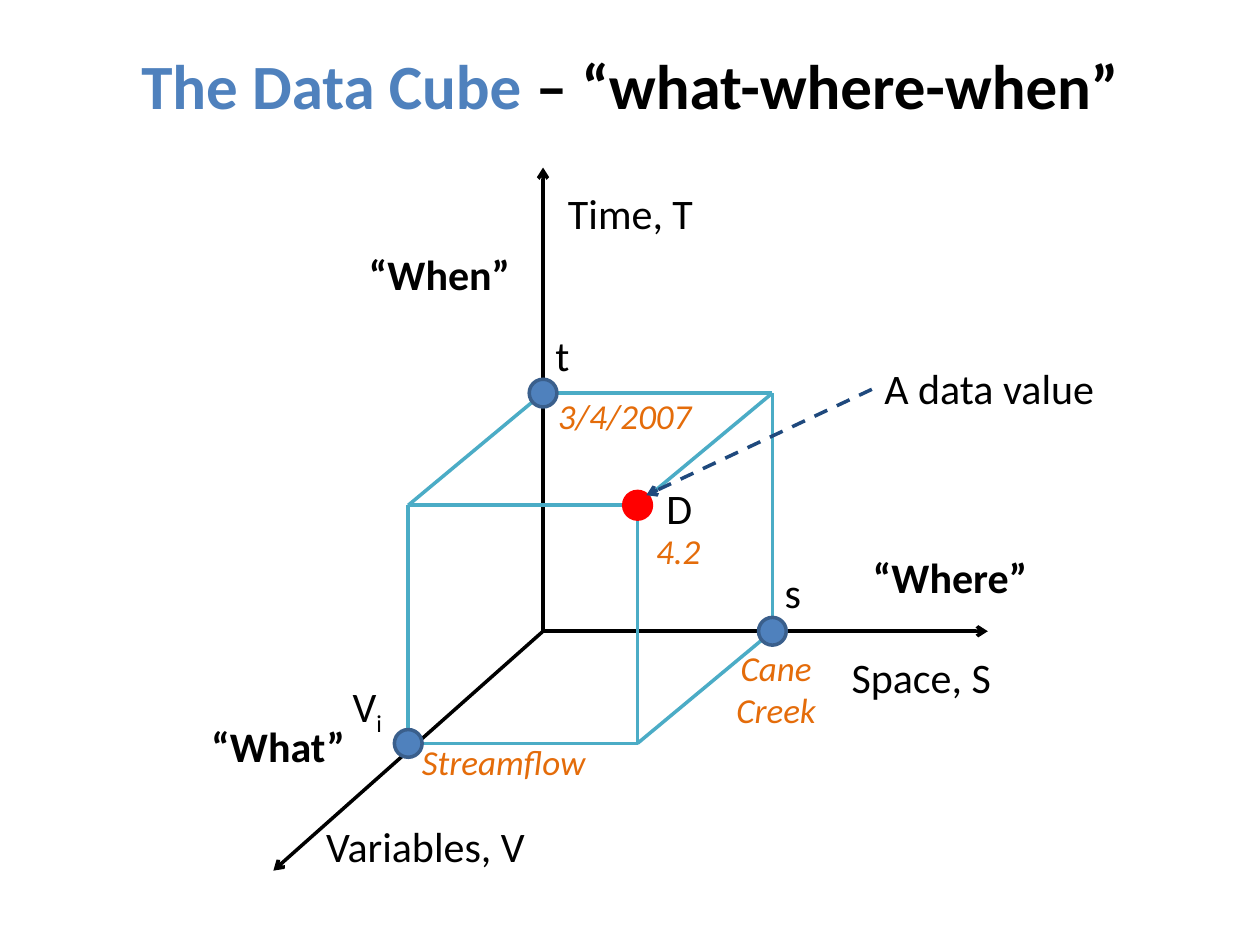
from itertools import product
from lxml.etree import SubElement
from pptx import Presentation
from pptx.dml.color import RGBColor
from pptx.enum.dml import MSO_LINE
from pptx.enum.shapes import MSO_CONNECTOR, MSO_SHAPE
from pptx.enum.text import MSO_ANCHOR, MSO_AUTO_SIZE, PP_ALIGN
from pptx.oxml.ns import qn
from pptx.util import Inches, Pt

BLACK = RGBColor(0x00, 0x00, 0x00)
BLUE = RGBColor(0x4F, 0x81, 0xBD)
DARK_BLUE = RGBColor(0x3A, 0x5F, 0x8C)
NAVY = RGBColor(0x1F, 0x49, 0x7D)
TEAL = RGBColor(0x4B, 0xAC, 0xC6)
ORANGE = RGBColor(0xE4, 0x6C, 0x0A)
RED = RGBColor(0xFF, 0x00, 0x00)

SPACE_STEP, TIME_STEP, DEPTH_X, DEPTH_Y = 1.82, 1.89, 1.07, 0.89
DOT = 0.22


def add_line(s, start, end, color, arrow=False, dash=False):
    """Draw a straight line between two points in inches."""
    c = s.shapes.add_connector(MSO_CONNECTOR.STRAIGHT, *map(Inches, (*start, *end)))
    c.line.color.rgb = color
    c.line.width = Pt(2)
    if dash:
        c.line.dash_style = MSO_LINE.DASH
    if arrow:
        SubElement(c.line._get_or_add_ln(), qn("a:tailEnd"), type="arrow")
    SubElement(c._element.spPr, qn("a:effectLst"))


def add_dot(s, center, fill, outline):
    """Draw a round marker centred on a point."""
    x, y = center
    sp = s.shapes.add_shape(MSO_SHAPE.OVAL, Inches(x - DOT / 2), Inches(y - DOT / 2),
                            Inches(DOT), Inches(DOT))
    sp.shadow.inherit = False
    sp.fill.solid()
    sp.fill.fore_color.rgb = fill
    sp.line.color.rgb = outline
    sp.line.width = Pt(2)


def add_label(s, x, y, w, text, size=24, color=BLACK, bold=False, italic=False,
              align=PP_ALIGN.LEFT, subscript=""):
    """Write an unwrapped label, one paragraph for each line of text."""
    lines = text.split("\n")
    height = 0.1 + len(lines) * size / 60
    tf = s.shapes.add_textbox(Inches(x), Inches(y), Inches(w), Inches(height)).text_frame
    tf.word_wrap = False
    tf.auto_size = MSO_AUTO_SIZE.SHAPE_TO_FIT_TEXT
    tf.text = text
    for p in tf.paragraphs:
        p.alignment = align
        p.font.name = "Calibri"
        p.font.size = Pt(size)
        p.font.bold = bold
        p.font.italic = italic
        p.font.color.rgb = color
    if subscript:
        r = tf.paragraphs[0].add_run()
        r.text = subscript
        r._r.get_or_add_rPr().set("baseline", "-25000")


def add_title(s, x, y, w, h):
    """Write the two-colour title centred in its box."""
    tf = s.shapes.add_textbox(*map(Inches, (x, y, w, h))).text_frame
    tf.word_wrap = True
    tf.vertical_anchor = MSO_ANCHOR.MIDDLE
    p = tf.paragraphs[0]
    p.alignment = PP_ALIGN.CENTER
    p.font.name = "Calibri"
    p.font.size = Pt(36)
    p.font.bold = True
    for text, color in (("The Data Cube ", BLUE), ("– “what-where-when”", BLACK)):
        r = p.add_run()
        r.text = text
        r.font.color.rgb = color


def add_cube(s, ox, oy):
    """Draw the axes, cube edges and markers around the origin."""
    def corner(space, time, depth):
        return (ox + SPACE_STEP * space - DEPTH_X * depth,
                oy - TIME_STEP * time + DEPTH_Y * depth)

    for dx, dy in ((0, -3.68), (-2.14, 1.9), (3.53, 0)):
        add_line(s, (ox, oy), (ox + dx, oy + dy), BLACK, arrow=True)
    for a, b in product(product((0, 1), repeat=3), repeat=2):
        if a < b and any(a) and sum(i != j for i, j in zip(a, b)) == 1:
            add_line(s, corner(*a), corner(*b), TEAL)
    for axis_point in ((1, 0, 0), (0, 1, 0), (0, 0, 1)):
        add_dot(s, corner(*axis_point), BLUE, DARK_BLUE)
    add_dot(s, corner(1, 1, 1), RED, RED)
    add_line(s, (ox + 2.61, oy - 1.92), (ox + 0.82, oy - 1.08), NAVY, arrow=True, dash=True)


def add_labels(s, ox, oy):
    """Name the axes, points, questions and example values around the origin."""
    question = {"bold": True}
    example = {"size": 20, "color": ORANGE, "italic": True}
    labels = (
        (2.35, 0.11, 1.32, "Space, S", {}),
        (0.1, -3.57, 1.2, "Time, T", {}),
        (-1.82, 1.45, 1.8, "Variables, V", {}),
        (1.82, -0.56, 0.33, "s", {}),
        (0, -2.44, 0.31, "t", {}),
        (-1.61, 0.34, 0.44, "V", {"subscript": "i"}),
        (0.88, -1.23, 0.41, "D", {}),
        (2.61, -2.18, 1.88, "A data value", {}),
        (2.52, -0.68, 1.44, "“Where”", question),
        (-2.73, 0.66, 1.27, "“What”", question),
        (-1.48, -3.09, 1.33, "“When”", question),
        (0.8, -0.86, 0.56, "4.2", example),
        (1.43, 0.07, 0.84, "Cane\nCreek", {**example, "align": PP_ALIGN.CENTER}),
        (0.02, -1.93, 1.27, "3/4/2007", example),
        (-1.06, 0.82, 1.51, "Streamflow", example),
    )
    for dx, dy, w, text, style in labels:
        add_label(s, ox + dx, oy + dy, w, text, **style)


def main():
    """Build the data cube slide."""
    prs = Presentation()
    prs.slide_width, prs.slide_height = Inches(10), Inches(7.5)
    s = prs.slides.add_slide(prs.slide_layouts[6])
    add_title(s, 0.5, 0.17, 9, 1)
    add_cube(s, 4.31, 5.01)
    add_labels(s, 4.31, 5.01)
    prs.save("out.pptx")


if __name__ == "__main__":
    main()
